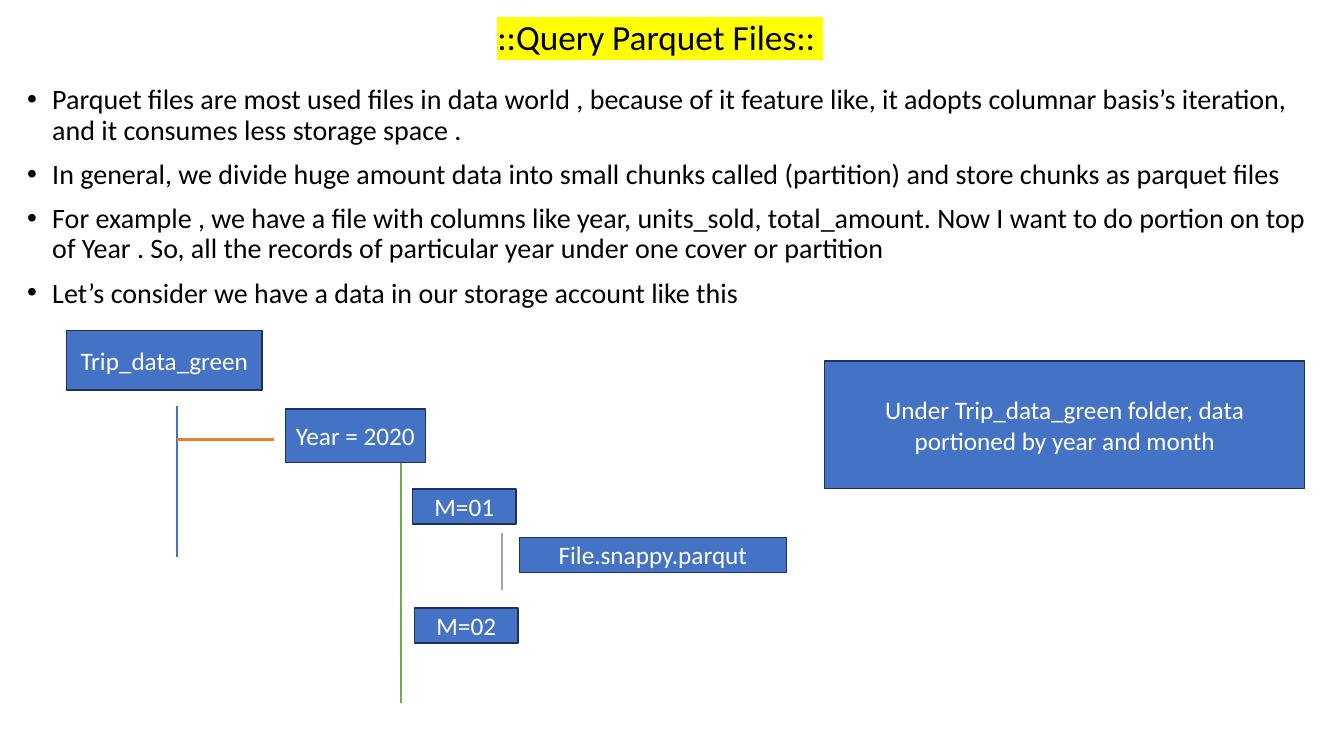
from dataclasses import dataclass

from lxml import etree
from pptx import Presentation
from pptx import util as u
from pptx.dml.color import RGBColor
from pptx.enum import shapes, text
from pptx.oxml import ns

EMU_PER_PX = 9144  # 100 px to the inch
FONT = "Calibri"
BLACK, WHITE, YELLOW = "000000", "FFFFFF", "FFFF00"
BLUE, NAVY = "4472C4", "1E3256"
ORANGE, GREEN, GREY = "ED7D31", "70AD47", "A5A5A5"


@dataclass
class Box:
    label: str
    left: int
    top: int
    width: int
    height: int


@dataclass
class Branch:
    x1: int
    y1: int
    x2: int
    y2: int
    color: str


TITLE = Box("::Query Parquet Files:: ", 80, 14, 1150, 50)
BODY = Box("", 17, 80, 1300, 655)
BULLETS = [
    "Parquet files are most used files in data world , because of it feature like, "
    "it adopts columnar basis’s iteration, and it consumes less storage space .",
    "In general, we divide huge amount data into small chunks called (partition) "
    "and store chunks as parquet files",
    "For example , we have a file with columns like year, units_sold, total_amount. "
    "Now I want to do portion on top of Year . So, all the records of particular year "
    "under one cover or partition",
    "Let’s consider we have a data in our storage account like this",
]
BOXES = [
    Box("Trip_data_green", 66, 328, 194, 59),
    Box("Year = 2020", 283, 406, 139, 53),
    Box("M=01", 409, 485, 103, 35),
    Box("M=02", 411, 603, 103, 35),
    Box("File.snappy.parqut", 515, 533, 265, 35),
    Box("Under Trip_data_green folder, data portioned by year and month",
        818, 358, 476, 127),
]
BRANCHES = [
    Branch(176, 403, 176, 553, BLUE),
    Branch(176, 436, 272, 436, ORANGE),
    Branch(398, 459, 398, 697, GREEN),
    Branch(498, 529, 498, 585, GREY),
]


def px(length: int) -> u.Emu:
    return u.Emu(length * EMU_PER_PX)


def rgb(color: str) -> RGBColor:
    return RGBColor.from_string(color)


def bounds(box: Box) -> tuple:
    return px(box.left), px(box.top), px(box.width), px(box.height)


def style(paragraph, size: float, color: str) -> None:
    paragraph.font.name = FONT
    paragraph.font.size = u.Pt(size)
    paragraph.font.color.rgb = rgb(color)


def highlight(run, color: str) -> None:
    mark = etree.SubElement(run._r.get_or_add_rPr(), ns.qn("a:highlight"))
    etree.SubElement(mark, ns.qn("a:srgbClr"), val=color)


def add_bullet(paragraph) -> None:
    properties = paragraph._p.get_or_add_pPr()
    properties.set("marL", str(px(25)))
    properties.set("indent", str(-px(25)))
    etree.SubElement(properties, ns.qn("a:buFont"), typeface="Arial")
    etree.SubElement(properties, ns.qn("a:buChar"), char="•")


def add_title(slide) -> None:
    frame = slide.shapes.add_textbox(*bounds(TITLE)).text_frame
    frame.word_wrap = True
    frame.vertical_anchor = text.MSO_ANCHOR.MIDDLE
    paragraph = frame.paragraphs[0]
    paragraph.text = TITLE.label
    paragraph.alignment = text.PP_ALIGN.CENTER
    paragraph.line_spacing = 0.9
    style(paragraph, 25.2, BLACK)
    highlight(paragraph.runs[0], YELLOW)


def add_body(slide) -> None:
    frame = slide.shapes.add_textbox(*bounds(BODY)).text_frame
    frame.word_wrap = True
    frame.text = "\n".join(BULLETS)
    for paragraph in frame.paragraphs:
        add_bullet(paragraph)
        paragraph.line_spacing = 0.9
        paragraph.space_before = u.Pt(10)
        style(paragraph, 20, BLACK)


def add_box(slide, box: Box) -> None:
    shape = slide.shapes.add_shape(shapes.MSO_SHAPE.RECTANGLE, *bounds(box))
    shape.shadow.inherit = False
    shape.fill.solid()
    shape.fill.fore_color.rgb = rgb(BLUE)
    shape.line.color.rgb = rgb(NAVY)
    shape.line.width = u.Pt(1)
    frame = shape.text_frame
    frame.word_wrap = True
    frame.vertical_anchor = text.MSO_ANCHOR.MIDDLE
    paragraph = frame.paragraphs[0]
    paragraph.text = box.label
    paragraph.alignment = text.PP_ALIGN.CENTER
    style(paragraph, 18, WHITE)


def add_branch(slide, branch: Branch) -> None:
    line = slide.shapes.add_connector(
        shapes.MSO_CONNECTOR.STRAIGHT,
        px(branch.x1), px(branch.y1), px(branch.x2), px(branch.y2))
    line.line.color.rgb = rgb(branch.color)
    line.line.width = u.Pt(1.5)
    etree.SubElement(line._element.spPr, ns.qn("a:effectLst"))


def main() -> None:
    presentation = Presentation()
    presentation.slide_width, presentation.slide_height = px(1333), px(750)
    slide = presentation.slides.add_slide(presentation.slide_layouts[6])

    # Heading and explanation
    add_title(slide)
    add_body(slide)

    # Folder tree and its note
    for box in BOXES:
        add_box(slide, box)
    for branch in BRANCHES:
        add_branch(slide, branch)

    presentation.save("out.pptx")


if __name__ == "__main__":
    main()
